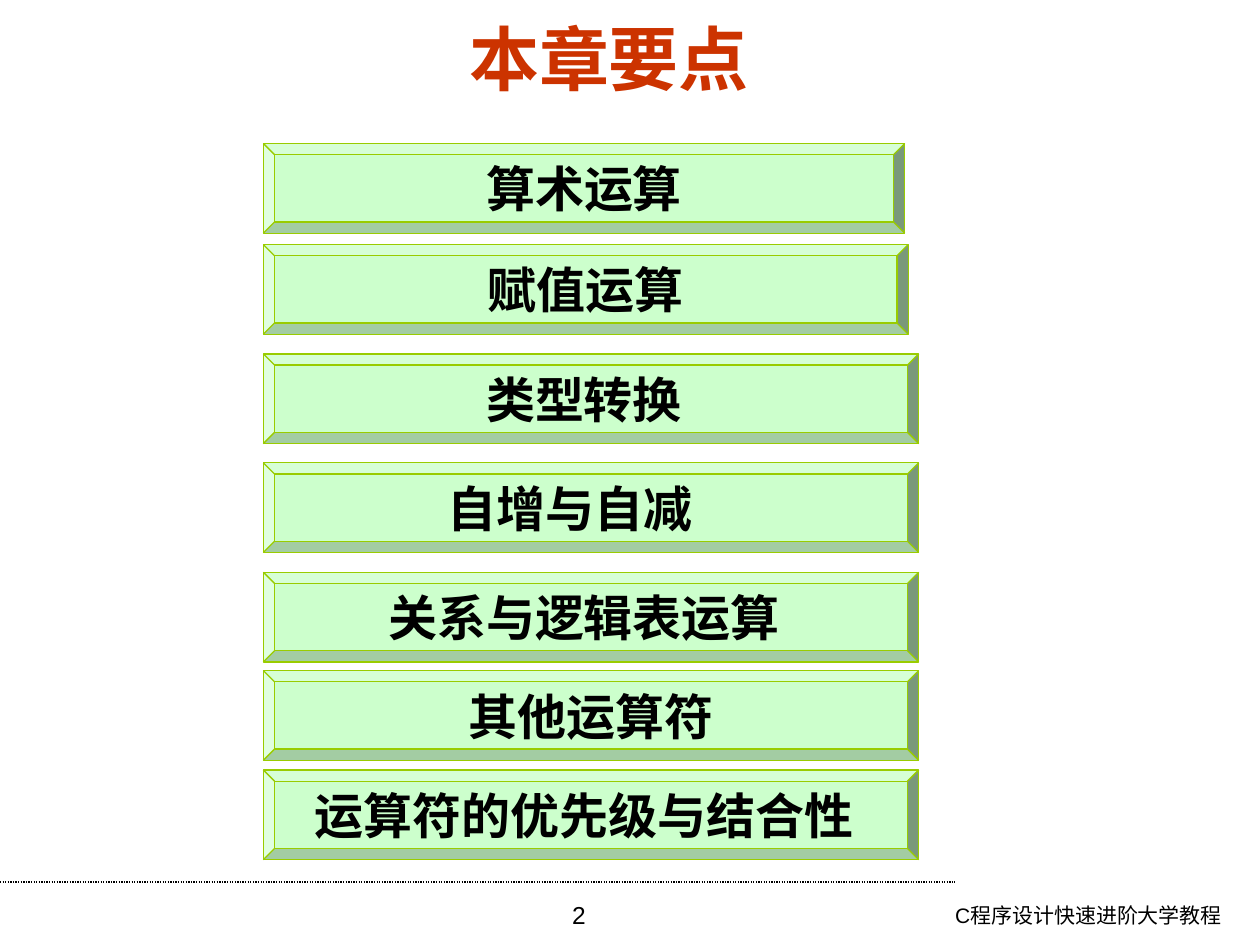
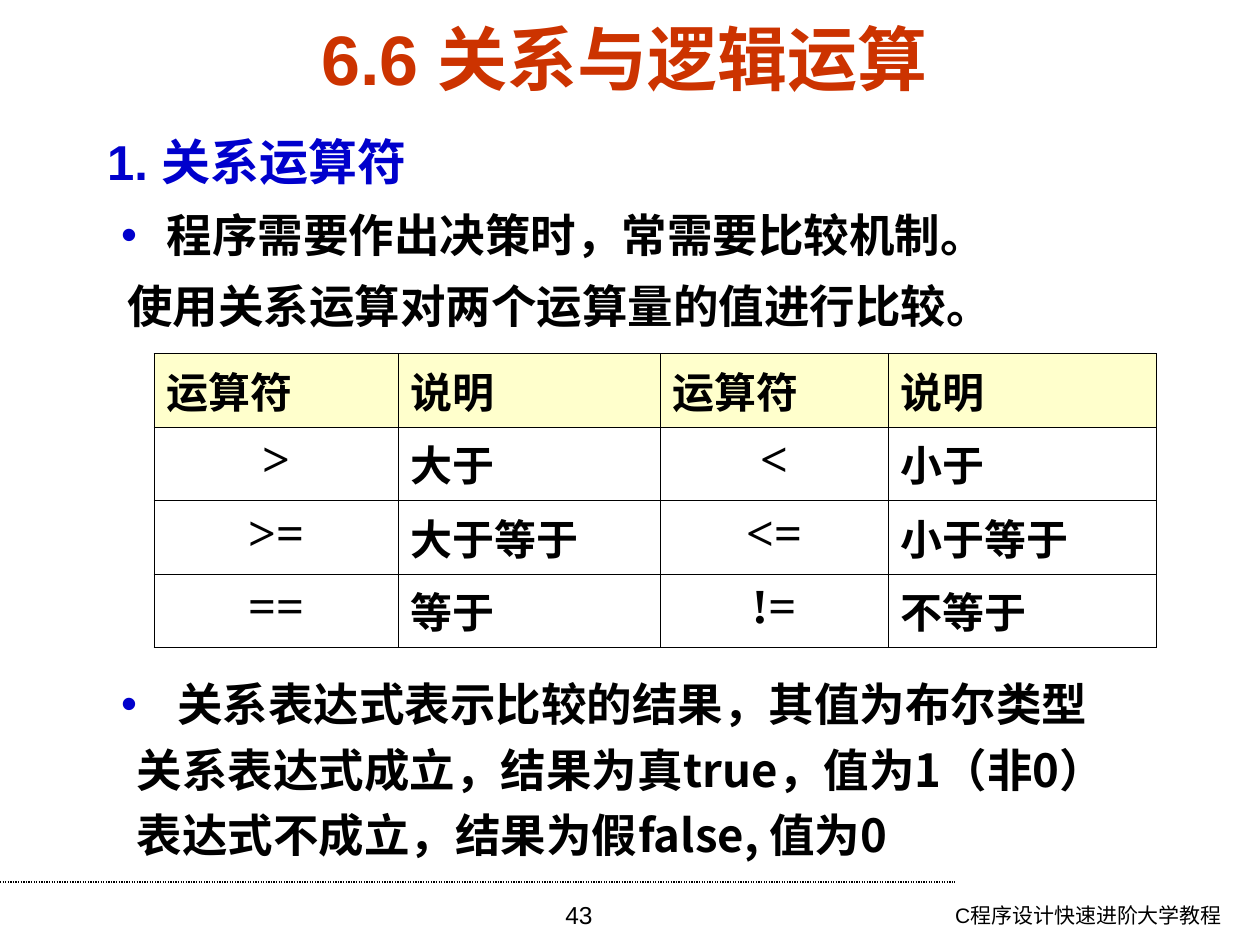
import pptx
import pptx.dml.color
import pptx.enum.dml
import pptx.enum.shapes
import pptx.enum.text
import pptx.oxml.ns
import pptx.util
from dataclasses import dataclass
from lxml import etree

Pt = pptx.util.Pt
ALIGN = pptx.enum.text.PP_ALIGN
ANCHOR = pptx.enum.text.MSO_ANCHOR


@dataclass(frozen=True)
class Theme:
    ink: str = "000000"
    title: str = "CC3300"
    accent: str = "0000CC"
    bar: str = "CCFFCC"
    bar_edge: str = "99CC00"
    header: str = "FFFFCC"
    sans: str = "Arial"
    serif: str = "Times New Roman"
    chinese: str = "Noto Sans CJK SC"
    title_size: float = 40
    heading_size: float = 28
    body_size: float = 26
    cell_size: float = 24
    page_size: float = 14
    footer_size: float = 12
    rule_width: float = 0.75
    border_width: float = 0.35


def rgb(value):
    return pptx.dml.color.RGBColor.from_string(value)


def child(parent, tag, **attributes):
    return etree.SubElement(parent, pptx.oxml.ns.qn(tag), attributes)


class Deck:
    def __init__(self, theme):
        self.theme = theme
        self.presentation = pptx.Presentation()
        self.presentation.slide_width = Pt(720)
        self.presentation.slide_height = Pt(540)
        self.slide = None

    def style(self, paragraph, size, color=None, latin=None, bold=False, align=ALIGN.LEFT):
        paragraph.alignment = align
        font = paragraph.font
        font.size = Pt(size)
        font.bold = bold
        font.name = latin or self.theme.sans
        font.color.rgb = rgb(color or self.theme.ink)
        latin_element = paragraph._p.pPr.find(".//" + pptx.oxml.ns.qn("a:latin"))
        east_asian = etree.Element(pptx.oxml.ns.qn("a:ea"), typeface=self.theme.chinese)
        latin_element.addnext(east_asian)

    def frame(self, left, top, width, height, inset=True):
        frame = self.slide.shapes.add_textbox(Pt(left), Pt(top), Pt(width), Pt(height)).text_frame
        frame.word_wrap = True
        if not inset:
            frame.margin_left = frame.margin_right = 0
            frame.margin_top = frame.margin_bottom = 0
        return frame

    def label(self, text, left, top, width, height, size, anchor=ANCHOR.TOP, **style):
        frame = self.frame(left, top, width, height)
        frame.vertical_anchor = anchor
        frame.text = text
        self.style(frame.paragraphs[0], size, **style)

    def rule(self, left, right, y):
        rule = self.slide.shapes.add_connector(
            pptx.enum.shapes.MSO_CONNECTOR.STRAIGHT, Pt(left), Pt(y), Pt(right), Pt(y))
        rule.line.color.rgb = rgb(self.theme.ink)
        rule.line.width = Pt(self.theme.rule_width)
        rule.line.dash_style = pptx.enum.dml.MSO_LINE.ROUND_DOT
        child(rule._element.spPr, "a:effectLst")

    def new_slide(self, title, page, title_left, title_width, title_font):
        theme = self.theme
        self.slide = self.presentation.slides.add_slide(self.presentation.slide_layouts[6])
        self.rule(0, 545.75, 504)
        self.label("C程序设计快速进阶大学教程", 473, 512, 232.5, 28, theme.footer_size,
                   align=ALIGN.RIGHT)
        self.label(page, 247, 510.5, 167.75, 29.5, theme.page_size, align=ALIGN.CENTER)
        self.label(title, title_left, 15, title_width, 36, theme.title_size, ANCHOR.MIDDLE,
                   color=theme.title, latin=title_font, bold=True, align=ALIGN.CENTER)

    def bar(self, text, top, width, shift):
        theme = self.theme
        bar = self.slide.shapes.add_shape(
            pptx.enum.shapes.MSO_SHAPE.BEVEL, Pt(150.5), Pt(top), Pt(width), Pt(51.25))
        bar.adjustments[0] = 0.125
        bar.shadow.inherit = False
        bar.fill.solid()
        bar.fill.fore_color.rgb = rgb(theme.bar)
        bar.line.color.rgb = rgb(theme.bar_edge)
        bar.line.width = Pt(theme.rule_width)
        frame = bar.text_frame
        frame.word_wrap = True
        frame.vertical_anchor = ANCHOR.MIDDLE
        frame.margin_right = Pt(7.2 + 2 * shift)
        frame.text = text
        self.style(frame.paragraphs[0], theme.heading_size, bold=True, align=ALIGN.CENTER)

    def passage(self, top, height, lines):
        theme = self.theme
        frame = self.frame(61.2, top, 620, height, inset=False)
        for index, (text, indent, bulleted, leading, style) in enumerate(lines):
            paragraph = frame.add_paragraph() if index else frame.paragraphs[0]
            paragraph.text = text
            paragraph.line_spacing = Pt(leading)
            if index:
                paragraph.space_before = Pt(6.5)
            properties = paragraph._p.get_or_add_pPr()
            properties.set("marL", str(Pt(indent)))
            properties.set("indent", str(Pt(8 - indent) if bulleted else 0))
            if bulleted:
                child(child(properties, "a:buClr"), "a:srgbClr", val=theme.accent)
                child(properties, "a:buFont", typeface=theme.sans)
                child(properties, "a:buChar", char="•")
            self.style(paragraph, bold=True, **style)

    def border(self, cell):
        properties = cell._tc.get_or_add_tcPr()
        for side in ("a:lnL", "a:lnR", "a:lnT", "a:lnB"):
            line = child(properties, side, w=str(Pt(self.theme.border_width)))
            child(child(line, "a:solidFill"), "a:srgbClr", val=self.theme.ink)

    def table(self, left, top, widths, row_height, rows):
        theme = self.theme
        table = self.slide.shapes.add_table(
            len(rows), len(widths), Pt(left), Pt(top),
            Pt(sum(widths)), Pt(row_height * len(rows))).table
        table.first_row = table.horz_banding = False
        for column, width in zip(table.columns, widths):
            column.width = Pt(width)
        for r, row in enumerate(rows):
            table.rows[r].height = Pt(row_height)
            for c, text in enumerate(row):
                cell = table.cell(r, c)
                cell.text = text
                self.border(cell)
                if r == 0:
                    cell.fill.solid()
                    cell.fill.fore_color.rgb = rgb(theme.header)
                else:
                    cell.fill.background()
                operator = r > 0 and c % 2 == 0
                self.style(cell.text_frame.paragraphs[0],
                           theme.heading_size if operator else theme.cell_size,
                           latin=theme.serif, bold=True,
                           align=ALIGN.CENTER if operator else ALIGN.LEFT)


def chapter_points(deck):
    deck.new_slide("本章要点", "2", 41, 614, deck.theme.serif)
    for topic in (
        ("算术运算", 82, 366.5, 0),
        ("赋值运算", 139.75, 368.5, 0),
        ("类型转换", 202.25, 374.5, 4),
        ("自增与自减", 264.5, 374.5, 12),
        ("关系与逻辑表运算", 327, 374.5, 4),
        ("其他运算符", 383.25, 374.5, 0),
        ("运算符的优先级与结合性", 440, 374.5, 4),
    ):
        deck.bar(*topic)


def relational_operators(deck):
    theme = deck.theme
    heading = dict(size=theme.heading_size, color=theme.accent)
    body = dict(size=theme.body_size, latin=theme.chinese)
    deck.new_slide("6.6 关系与逻辑运算", "43", 31, 651.5, theme.sans)
    deck.passage(72, 120, (
        ("1. 关系运算符", 0, False, 37, heading),
        ("程序需要作出决策时，常需要比较机制。", 34, True, 34, body),
        ("使用关系运算对两个运算量的值进行比较。", 11.5, False, 34, body),
    ))
    deck.table(88, 202, (139.5, 149.75, 130.25, 153.25), 42, (
        ("运算符", "说明", "运算符", "说明"),
        (">", "大于", "<", "小于"),
        (">=", "大于等于", "<=", "小于等于"),
        ("==", "等于", "!=", "不等于"),
    ))
    deck.passage(386.5, 110, (
        ("关系表达式表示比较的结果，其值为布尔类型", 40, True, 31, body),
        ("关系表达式成立，结果为真true，值为1（非0）", 17, False, 31, body),
        ("表达式不成立，结果为假false, 值为0", 17, False, 31, body),
    ))


def main():
    deck = Deck(Theme())
    chapter_points(deck)
    relational_operators(deck)
    deck.presentation.save("out.pptx")


if __name__ == "__main__":
    main()
